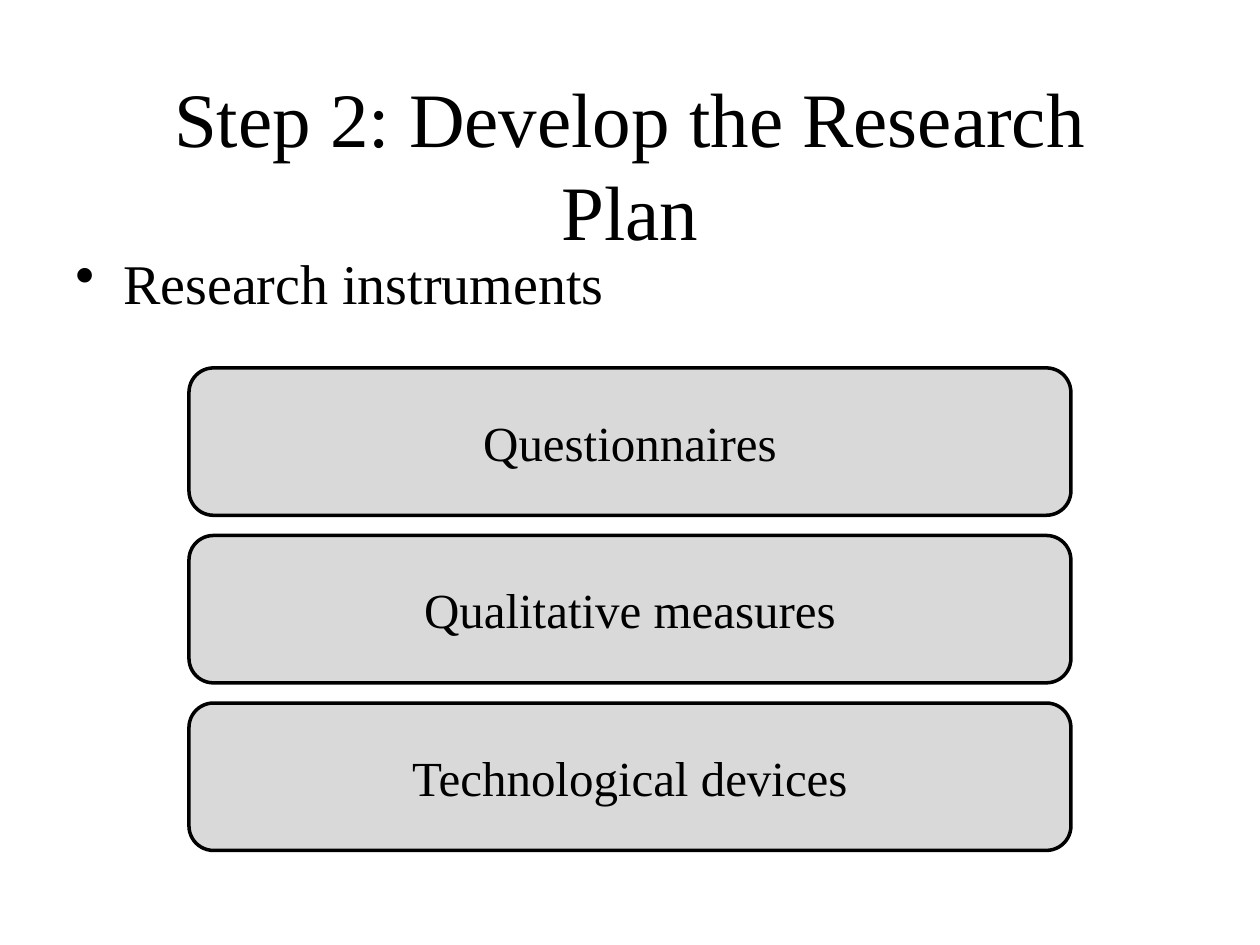
"""Build the slide on research instruments in the research plan."""
from dataclasses import dataclass

from lxml import etree
from pptx import Presentation
from pptx.dml.color import RGBColor
from pptx.enum import shapes, text
from pptx.oxml import ns
from pptx.util import Inches, Pt


@dataclass(frozen=True)
class Theme:
    font: str = "Times New Roman"
    ink: RGBColor = RGBColor(0x00, 0x00, 0x00)
    panel: RGBColor = RGBColor(0xD9, 0xD9, 0xD9)
    title_size: int = 44
    topic_size: int = 32
    instrument_size: int = 28


THEME = Theme()


def write(frame, wording, *, size, align, anchor, bullet=None):
    frame.word_wrap = True
    frame.auto_size = text.MSO_AUTO_SIZE.NONE
    frame.vertical_anchor = anchor
    paragraph = frame.paragraphs[0]
    paragraph.alignment = align
    if bullet:
        properties = paragraph._p.get_or_add_pPr()
        indent = Inches(0.38)
        properties.set("marL", str(indent))
        properties.set("indent", str(-indent))
        etree.SubElement(properties, ns.qn("a:buChar"), char=bullet)
    run = paragraph.add_run()
    run.text = wording
    run.font.name = THEME.font
    run.font.size = Pt(size)
    run.font.color.rgb = THEME.ink


presentation = Presentation()
presentation.slide_width = Inches(10)
presentation.slide_height = Inches(7.5)
slide = presentation.slides.add_slide(presentation.slide_layouts[5])

title = slide.shapes.title
title.left, title.top = Inches(0.75), Inches(0.67)
title.width, title.height = Inches(8.5), Inches(1.25)
write(title.text_frame, "Step 2: Develop the Research Plan", size=THEME.title_size,
      align=text.PP_ALIGN.CENTER, anchor=text.MSO_ANCHOR.MIDDLE)

topic = slide.shapes.add_textbox(Inches(0.5), Inches(1.92), Inches(9), Inches(0.92))
write(topic.text_frame, "Research instruments", size=THEME.topic_size,
      align=text.PP_ALIGN.LEFT, anchor=text.MSO_ANCHOR.TOP, bullet="•")

first_top, pitch = 2.92, 1.33
instruments = ["Questionnaires", "Qualitative measures", "Technological devices"]
for row, instrument in enumerate(instruments):
    panel = slide.shapes.add_shape(
        shapes.MSO_SHAPE.ROUNDED_RECTANGLE,
        Inches(1.5), Inches(first_top + row * pitch), Inches(7), Inches(1.17))
    panel.shadow.inherit = False
    panel.fill.solid()
    panel.fill.fore_color.rgb = THEME.panel
    panel.line.color.rgb = THEME.ink
    panel.line.width = Pt(2)
    write(panel.text_frame, instrument, size=THEME.instrument_size,
          align=text.PP_ALIGN.CENTER, anchor=text.MSO_ANCHOR.MIDDLE)

presentation.save("out.pptx")
